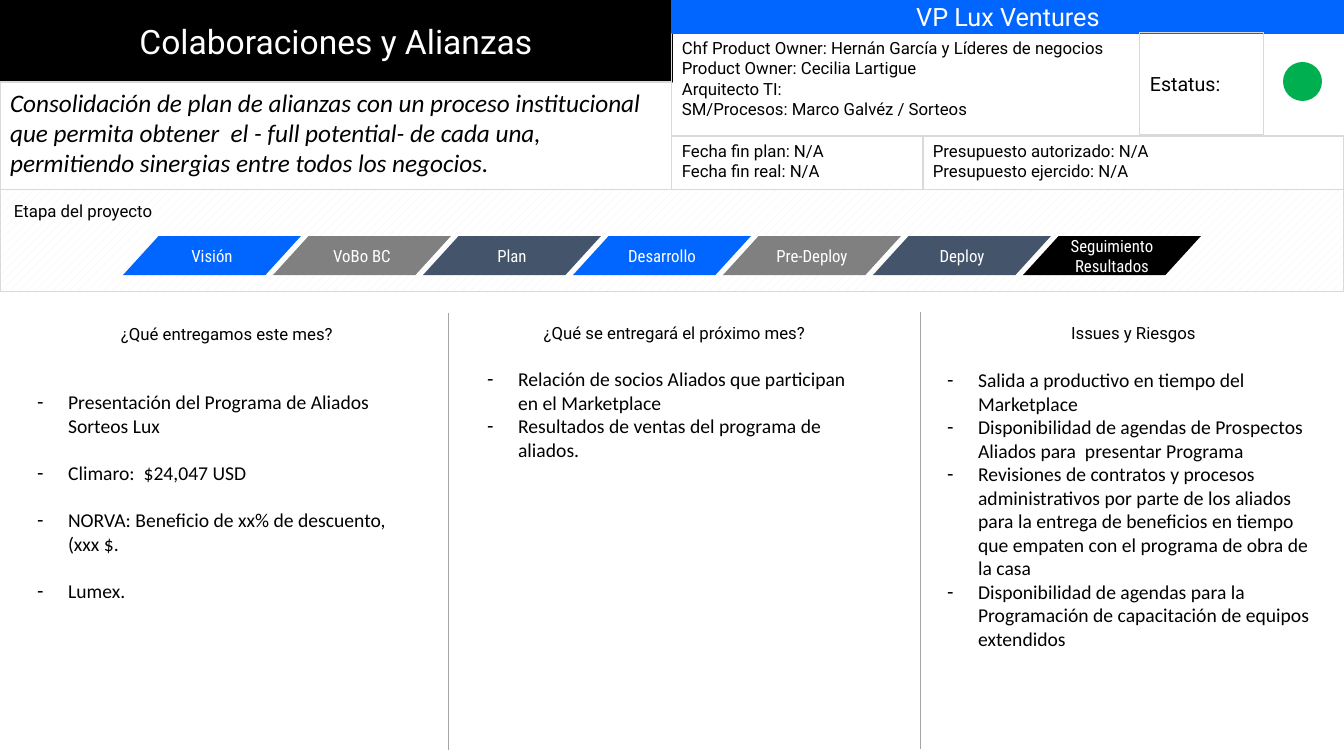
from lxml import etree
from pptx import Presentation
from pptx.dml.color import RGBColor
from pptx.enum.dml import MSO_PATTERN
from pptx.enum.shapes import MSO_CONNECTOR, MSO_SHAPE
from pptx.enum.text import MSO_ANCHOR, MSO_AUTO_SIZE, PP_ALIGN
from pptx.oxml.ns import qn
from pptx.util import Emu, Pt

RECT, OVAL, STAGE = MSO_SHAPE.RECTANGLE, MSO_SHAPE.OVAL, MSO_SHAPE.FLOWCHART_DATA
TOP, MIDDLE = MSO_ANCHOR.TOP, MSO_ANCHOR.MIDDLE
LEFT, CENTER = PP_ALIGN.LEFT, PP_ALIGN.CENTER
STRAIGHT = MSO_CONNECTOR.STRAIGHT
DOTS = MSO_PATTERN.PERCENT_20
NO_FIT = MSO_AUTO_SIZE.NONE

BLACK, WHITE, BLUE, GREEN = "000000", "FFFFFF", "0066FF", "00B050"
GRAY, SLATE, BORDER, RULE, DOT = "808080", "44546A", "D9D9D9", "A5A5A5", "F2F2F2"
LIST_INDENT = 31

STAGES = [
    ("Visión", BLUE), ("VoBo BC", GRAY), ("Plan", SLATE), ("Desarrollo", BLUE),
    ("Pre-Deploy", GRAY), ("Deploy", SLATE), ("Seguimiento Resultados", BLACK),
]

DELIVERED = [
    "Presentación del Programa de Aliados Sorteos Lux",
    "Climaro:  $24,047 USD",
    "NORVA: Beneficio de xx% de descuento, (xxx $.",
    "Lumex.",
]
UPCOMING = [
    "Relación de socios Aliados que participan en el Marketplace",
    "Resultados de ventas del programa de aliados.",
]
RISKS = [
    "Salida a productivo en tiempo del Marketplace",
    "Disponibilidad de agendas de Prospectos Aliados para  presentar Programa",
    "Revisiones de contratos y procesos administrativos por parte de los aliados para la "
    "entrega de beneficios en tiempo que empaten con el programa de obra de la casa",
    "Disponibilidad de agendas para la Programación de capacitación de equipos extendidos",
]

# heading box, list box, list items, points between items
COLUMNS = [
    ((73, 319, 308, 45), (27, 385, 397, 356), DELIVERED, 17),
    ((465, 318, 419, 44), (477, 362, 397, 379), UPCOMING, 0),
    ((949, 318, 369, 44), (937, 363, 397, 379), RISKS, 0),
]
HEADINGS = ["¿Qué entregamos este mes?", "¿Qué se entregará el próximo mes?", "Issues y Riesgos"]


def px(n):
    return Emu(round(n * 12192000 / 1344))


def rgb(value):
    return RGBColor.from_string(value)


def place(sp, box):
    sp.left, sp.top, sp.width, sp.height = map(px, box)


def paint(sp, fill=None, line=None, width=0.75):
    if fill:
        sp.fill.solid()
        sp.fill.fore_color.rgb = rgb(fill)
    else:
        sp.fill.background()
    if line:
        sp.line.color.rgb = rgb(line)
        sp.line.width = Pt(width)
    else:
        sp.line.fill.background()


def write(sp, lines, size, font="Roboto", color=BLACK, align=LEFT, anchor=TOP, italic=False):
    tf = sp.text_frame
    tf.text = "\n".join(lines)
    tf.word_wrap = True
    tf.auto_size = NO_FIT
    tf.vertical_anchor = anchor
    for p in tf.paragraphs:
        p.alignment = align
        p.space_before = Pt(0)
        for r in p.runs:
            r.font.name = font
            r.font.size = Pt(size)
            r.font.bold = False
            r.font.italic = italic
            r.font.color.rgb = rgb(color)


def set_bullet(p, char=None, indent=0):
    """Give a paragraph a hanging bullet, or none when char is missing."""
    pPr = p._p.get_or_add_pPr()
    pPr.set("marL", str(px(indent)))
    pPr.set("indent", str(-px(indent)))
    if char:
        etree.SubElement(pPr, qn("a:buChar")).set("char", char)
    else:
        etree.SubElement(pPr, qn("a:buNone"))


def add_shape(s, kind, box, fill=None, line=None, width=0.75):
    sp = s.shapes.add_shape(kind, *map(px, box))
    sp.shadow.inherit = False
    paint(sp, fill, line, width)
    return sp


def add_panel(s, box, lines, size=12, anchor=TOP):
    write(add_shape(s, RECT, box, line=BORDER), lines, size, anchor=anchor)


def add_label(s, box, text, align=LEFT):
    write(s.shapes.add_textbox(*map(px, box)), [text], 12, align=align)


def add_stage(s, index, text, fill):
    sp = add_shape(s, STAGE, (123 + 150 * index, 236, 178, 39), fill)
    write(sp, [text], 12, "Roboto Condensed", WHITE, CENTER, MIDDLE)
    tf = sp.text_frame
    tf.margin_left = tf.margin_right = tf.margin_top = tf.margin_bottom = px(10)


def add_divider(s, x, top, bottom):
    line = s.shapes.add_connector(STRAIGHT, px(x), px(top), px(x), px(bottom))
    line.line.color.rgb = rgb(RULE)
    line.line.width = Pt(0.5)
    etree.SubElement(line._element.spPr, qn("a:effectLst"))


def fill_list(sp, box, items, gap):
    place(sp, box)
    write(sp, items, 14, "Calibri")
    for i, p in enumerate(sp.text_frame.paragraphs):
        p.space_before = Pt(gap if i else 0)
        set_bullet(p, "-", LIST_INDENT)


def add_header(s, title, summary):
    place(title, (0, 0, 672, 82))
    paint(title, BLACK, BLACK, 1)
    write(title, ["Colaboraciones y Alianzas"], 24, color=WHITE, align=CENTER, anchor=MIDDLE)

    place(summary, (0, 82, 672, 108))
    paint(summary, line=BORDER)
    write(summary, ["Consolidación de plan de alianzas con un proceso institucional que permita "
                    "obtener  el - full potential- de cada una, permitiendo sinergias entre "
                    "todos los negocios."], 18, "Calibri", italic=True)
    set_bullet(summary.text_frame.paragraphs[0])

    add_panel(s, (672, 33, 468, 103), [
        "Chf Product Owner: Hernán García y Líderes de negocios",
        "Product Owner: Cecilia Lartigue",
        "Arquitecto TI:",
        "SM/Procesos: Marco Galvéz / Sorteos",
    ])
    area = add_shape(s, RECT, (672, 0, 672, 33), BLUE, BLUE, 1)
    write(area, ["VP Lux Ventures"], 18, color=WHITE, align=CENTER, anchor=MIDDLE)
    add_panel(s, (672, 136, 251, 54), ["Fecha fin plan: N/A", "Fecha fin real: N/A"])
    add_panel(s, (1140, 33, 124, 102), ["Estatus:"], 14, MIDDLE)
    add_panel(s, (923, 136, 421, 54), ["Presupuesto autorizado: N/A", "Presupuesto ejercido: N/A"])
    add_shape(s, OVAL, (1283, 62, 39, 39), GREEN)


def add_stages(s):
    band = add_shape(s, RECT, (0, 190, 1344, 102), line=BORDER)
    band.fill.patterned()
    band.fill.pattern = DOTS
    band.fill.fore_color.rgb = rgb(DOT)
    band.fill.back_color.rgb = rgb(WHITE)
    add_label(s, (4, 196, 308, 45), "Etapa del proyecto")
    for i, (text, fill) in enumerate(STAGES):
        add_stage(s, i, text, fill)


def main():
    prs = Presentation()
    prs.slide_width, prs.slide_height = px(1344), px(756)
    s = prs.slides.add_slide(prs.slide_layouts.get_by_name("Comparison"))
    title, summary, *lists = list(s.placeholders)

    add_header(s, title, summary)
    add_stages(s)
    for sp, heading, (head_box, list_box, items, gap) in zip(lists, HEADINGS, COLUMNS):
        add_label(s, head_box, heading, CENTER)
        fill_list(sp, list_box, items, gap)
    add_divider(s, 448, 313, 750)
    add_divider(s, 920, 312, 749)

    prs.save("out.pptx")


if __name__ == "__main__":
    main()
